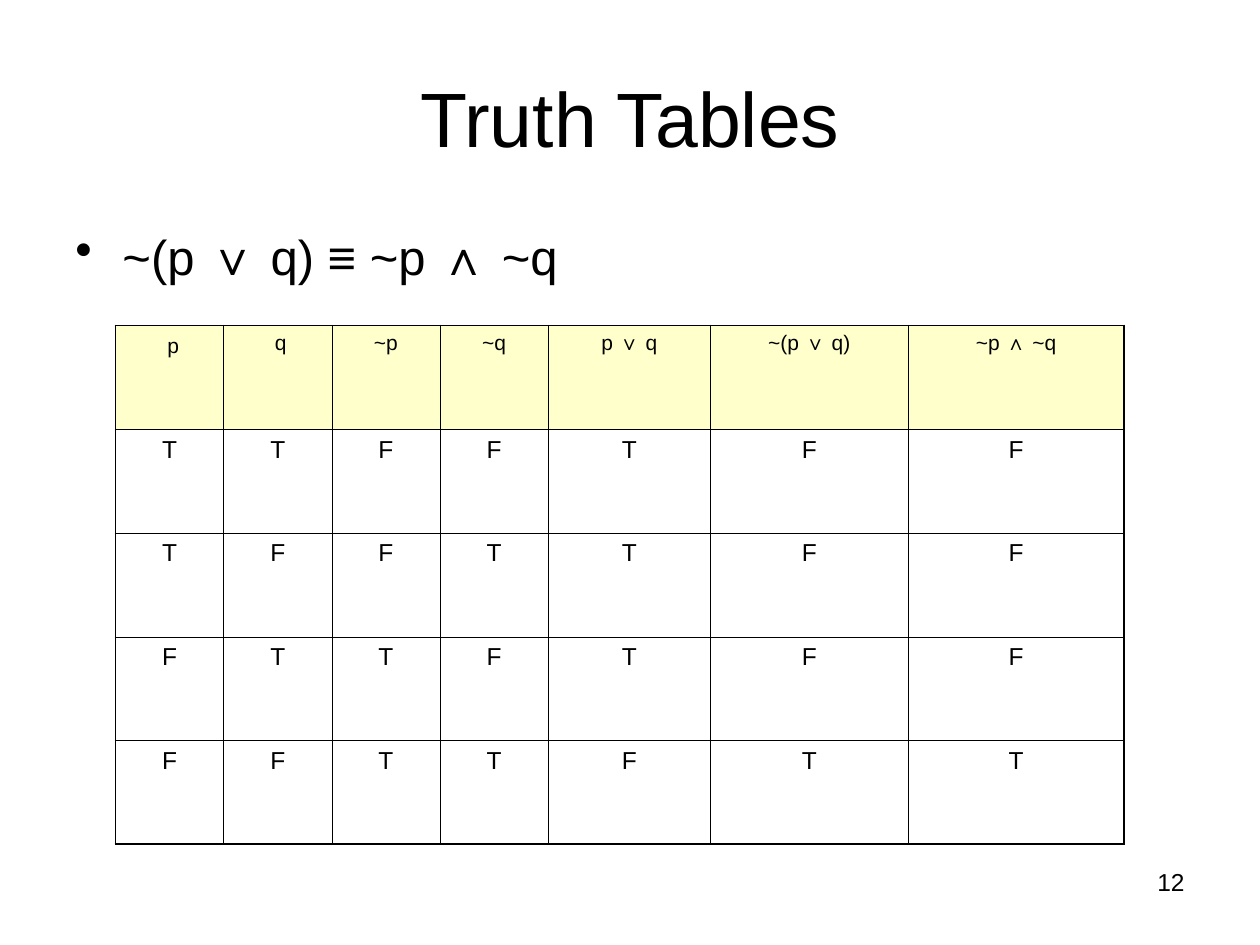
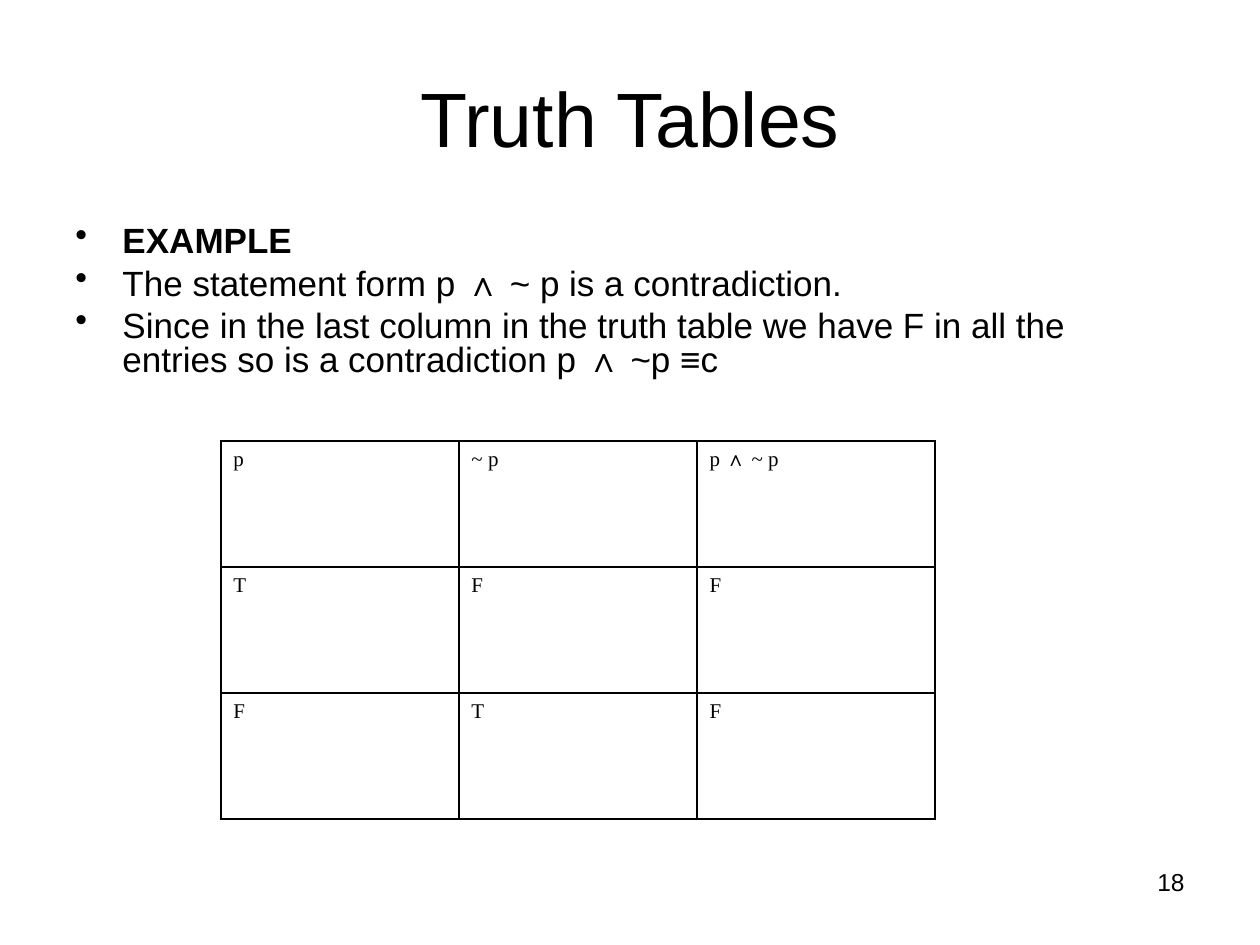
from dataclasses import dataclass
from lxml.etree import SubElement
from pptx import Presentation
from pptx.dml.color import RGBColor
from pptx.enum.text import MSO_ANCHOR, PP_ALIGN
from pptx.oxml.ns import qn
from pptx.util import Cm, Pt


@dataclass(frozen=True)
class Theme:
    ink: str = "000000"
    header_fill: str = "FFFFCC"
    sans: str = "Arial"
    serif: str = "Times New Roman"
    title_size: int = 44
    number_size: int = 14
    header_size: int = 12
    cell_size: int = 14
    hanging: float = 0.95


THEME = Theme()

# Content: a cell is a string, or a list of (text, style) runs
TITLE = "Truth Tables"
TITLE_BOX = (1.27, 0.76, 22.86, 3.18)
NUMBER_BOX = (18.21, 17.35, 5.92, 1.32)

SLIDES = [
    {
        "number": "12",
        "body_box": (1.27, 4.45, 22.86, 1.7),
        "body_size": 28,
        "space_before": 7,
        "line_spacing": 1.0,
        "bullets": [("~(p ∨ q) ≡ ~p ∧ ~q", False)],
        "table": {
            "origin": (2.33, 6.56),
            "columns": [2.18] * 4 + [3.27, 3.99, 4.35],
            "rows": [2.1] + [2.09] * 4,
            "outer": 1.08,
            "inner": 0.45,
            "font": THEME.sans,
            "sizes": (THEME.header_size, THEME.cell_size),
            "header_fill": THEME.header_fill,
            "centred": True,
            "cells": [
                [[(" ", {"size": THEME.cell_size}), ("p", {})], " q", "~p", "~q",
                 "p ∨ q", "~(p ∨ q)", "~p ∧ ~q"],
                list("TTFFTFF"),
                list("TFFTTFF"),
                list("FTTFTFF"),
                list("FFTTFTT"),
            ],
        },
    },
    {
        "number": "18",
        "body_box": (1.27, 4.45, 22.66, 3.61),
        "body_size": 20,
        "space_before": 5,
        "line_spacing": 0.8,
        "bullets": [
            ("EXAMPLE", True),
            ("The statement form p ∧ ~ p is a contradiction.", False),
            ("Since in the last column in the truth table we have F in all the "
             "entries so is a contradiction p ∧ ~p ≡c", False),
        ],
        "table": {
            "origin": (4.45, 8.89),
            "columns": [4.8] * 3,
            "rows": [2.54] * 3,
            "outer": 1.47,
            "inner": 0.96,
            "font": THEME.serif,
            "sizes": (THEME.header_size, THEME.header_size),
            "header_fill": None,
            "centred": False,
            "cells": [
                ["p", "~ p", [("p ", {}), ("∧", {"font": THEME.sans}), (" ~ p", {})]],
                list("TFF"),
                list("FTF"),
            ],
        },
    },
]


def add_run(paragraph, text, size, font=THEME.sans, bold=False):
    run = paragraph.add_run()
    run.text = text
    run.font.size = Pt(size)
    run.font.name = font
    run.font.bold = bold
    run.font.color.rgb = RGBColor.from_string(THEME.ink)


def add_text_frame(slide, box, anchor=MSO_ANCHOR.TOP):
    frame = slide.shapes.add_textbox(*map(Cm, box)).text_frame
    frame.word_wrap = True
    frame.vertical_anchor = anchor
    return frame


def add_line(slide, box, text, size, alignment, anchor=MSO_ANCHOR.TOP):
    paragraph = add_text_frame(slide, box, anchor).paragraphs[0]
    paragraph.alignment = alignment
    add_run(paragraph, text, size)


def add_bullets(slide, content):
    frame = add_text_frame(slide, content["body_box"])
    for index, (text, bold) in enumerate(content["bullets"]):
        paragraph = frame.add_paragraph() if index else frame.paragraphs[0]
        properties = paragraph._p.get_or_add_pPr()
        properties.set("marL", str(Cm(THEME.hanging)))
        properties.set("indent", str(-Cm(THEME.hanging)))
        SubElement(properties, qn("a:buChar"), char="•")
        paragraph.line_spacing = content["line_spacing"]
        if index:
            paragraph.space_before = Pt(content["space_before"])
        add_run(paragraph, text, content["body_size"], bold=bold)


def set_border(cell, side, width):
    line = SubElement(cell._tc.get_or_add_tcPr(), qn(f"a:ln{side}"), w=str(Pt(width)))
    fill = SubElement(line, qn("a:solidFill"))
    SubElement(fill, qn("a:srgbClr"), val=THEME.ink)


def add_truth_table(slide, content):
    columns, rows = content["columns"], content["rows"]
    size = (sum(columns), sum(rows))
    table = slide.shapes.add_table(
        len(rows), len(columns), *map(Cm, content["origin"] + size)).table
    table.first_row = table.horz_banding = False
    for column, width in zip(table.columns, columns):
        column.width = Cm(width)

    for row_index, values in enumerate(content["cells"]):
        table.rows[row_index].height = Cm(rows[row_index])
        for column_index, value in enumerate(values):
            cell = table.cell(row_index, column_index)

            # Heavier lines only around the outside
            on_edge = {
                "L": column_index == 0,
                "R": column_index == len(columns) - 1,
                "T": row_index == 0,
                "B": row_index == len(rows) - 1,
            }
            for side, is_outer in on_edge.items():
                set_border(cell, side, content["outer" if is_outer else "inner"])

            if row_index == 0 and content["header_fill"]:
                cell.fill.solid()
                cell.fill.fore_color.rgb = RGBColor.from_string(content["header_fill"])
            else:
                cell.fill.background()

            paragraph = cell.text_frame.paragraphs[0]
            paragraph.alignment = PP_ALIGN.CENTER if content["centred"] else PP_ALIGN.LEFT
            base = {"size": content["sizes"][row_index > 0], "font": content["font"]}
            runs = [(value, {})] if isinstance(value, str) else value
            for text, style in runs:
                add_run(paragraph, text, **(base | style))


def main():
    presentation = Presentation()
    presentation.slide_width, presentation.slide_height = Cm(25.4), Cm(19.05)
    for content in SLIDES:
        slide = presentation.slides.add_slide(presentation.slide_layouts[6])
        # Shared frame: page number and title
        add_line(slide, NUMBER_BOX, content["number"], THEME.number_size, PP_ALIGN.RIGHT)
        add_line(slide, TITLE_BOX, TITLE, THEME.title_size, PP_ALIGN.CENTER,
                 MSO_ANCHOR.MIDDLE)
        # Statement and its truth table
        add_bullets(slide, content)
        add_truth_table(slide, content["table"])
    presentation.save("out.pptx")


if __name__ == "__main__":
    main()
